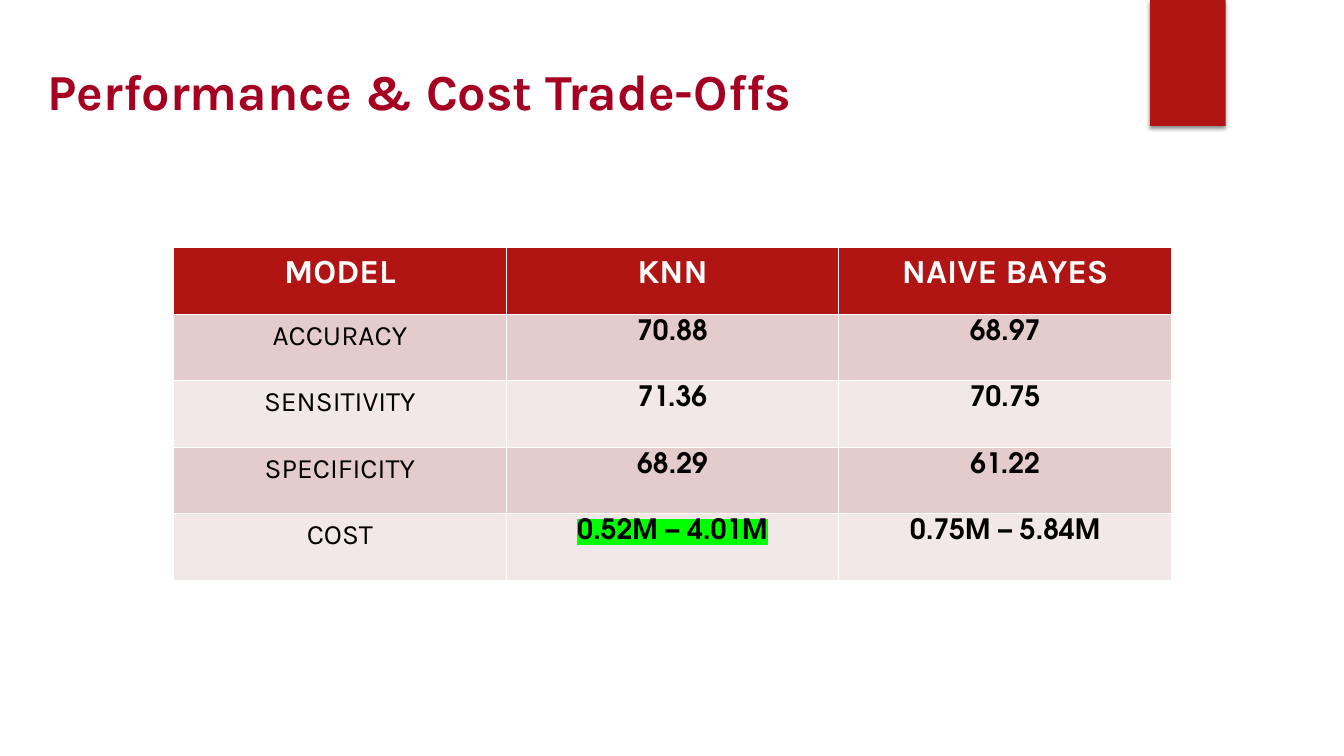
from pptx import Presentation
from pptx.dml.color import RGBColor as Rgb
from pptx.enum.shapes import MSO_SHAPE as Shape
from pptx.enum.text import MSO_ANCHOR as Anchor, MSO_AUTO_SIZE as Auto, PP_ALIGN as Align
from pptx.oxml import parse_xml
from pptx.oxml.ns import nsdecls
from pptx.util import Pt

TITLE = "Performance & Cost Trade-Offs"
ROWS = [
    ("MODEL", "KNN", "NAIVE BAYES"),
    ("ACCURACY", "70.88", "68.97"),
    ("SENSITIVITY", "71.36", "70.75"),
    ("SPECIFICITY", "68.29", "61.22"),
    ("COST", "0.52M – 4.01M", "0.75M – 5.84M"),
]
BEST = "0.52M – 4.01M"
RED, BANDS = "B01513", ("F2E8E7", "E4CCCC")
HEAD = dict(name="Karla", size=Pt(24), bold=True, color="FFFFFF")
LABEL = dict(name="Karla", size=Pt(20), bold=False, color="000000")
VALUE = dict(name="TeX Gyre Adventor", size=Pt(20), bold=True, color="000000")
TOP = dict(name="Karla", size=Pt(36), bold=True, color="A50021")
COL, ROW = 237.6, 47.52


def paint(part, code):
    part.solid()
    part.fore_color.rgb = Rgb.from_string(code)


def place(item, *box):
    for key, size in zip(("left", "top", "width", "height"), box):
        setattr(item, key, Pt(size))


def write(frame, text, style, align):
    para = frame.paragraphs[0]
    para.alignment = align
    run = para.add_run()
    run.text = text
    for key, val in style.items():
        if key == "color":
            paint(run.font.fill, val)
        else:
            setattr(run.font, key, val)
    return run


def mark(run, code):
    fill = run.font._element.find("{*}solidFill")
    fill.addnext(parse_xml(
        f'<a:highlight {nsdecls("a")}><a:srgbClr val="{code}"/></a:highlight>'))


def main():
    deck = Presentation()
    deck.slide_width, deck.slide_height = Pt(960), Pt(540)
    slide = deck.slides.add_slide(deck.slide_layouts[5])

    tab = slide.shapes.add_shape(Shape.RECTANGLE, Pt(821.5), 0, Pt(54), Pt(90))
    paint(tab.fill, RED)
    tab.line.fill.background()
    tab.shadow.inherit = False
    tab._element.spPr.find("{*}effectLst").append(parse_xml(
        f'<a:outerShdw {nsdecls("a")} blurRad="{Pt(3)}" dist="{Pt(2)}" dir="5400000" rotWithShape="0">'
        '<a:srgbClr val="000000"><a:alpha val="45000"/></a:srgbClr></a:outerShdw>'))

    title = slide.shapes.title
    place(title, 26.6, 24.8, 777, 79)
    frame = title.text_frame
    form = dict(word_wrap=True, auto_size=Auto.NONE, vertical_anchor=Anchor.MIDDLE)
    for key, val in form.items():
        setattr(frame, key, val)
    write(frame, TITLE, TOP, Align.LEFT)

    rows, cols = len(ROWS), len(ROWS[0])
    grid = slide.shapes.add_table(
        rows, cols, Pt(124), Pt(177), Pt(COL * cols), Pt(ROW * rows)).table
    for col in grid.columns:
        col.width = Pt(COL)
    for r, texts in enumerate(ROWS):
        grid.rows[r].height = Pt(ROW)
        for c, text in enumerate(texts):
            cell = grid.cell(r, c)
            paint(cell.fill, BANDS[r % 2] if r else RED)
            style = HEAD if r == 0 else VALUE if c else LABEL
            run = write(cell.text_frame, text, style, Align.CENTER)
            if text == BEST:
                mark(run, "00FF00")

    deck.save("out.pptx")


if __name__ == "__main__":
    main()
